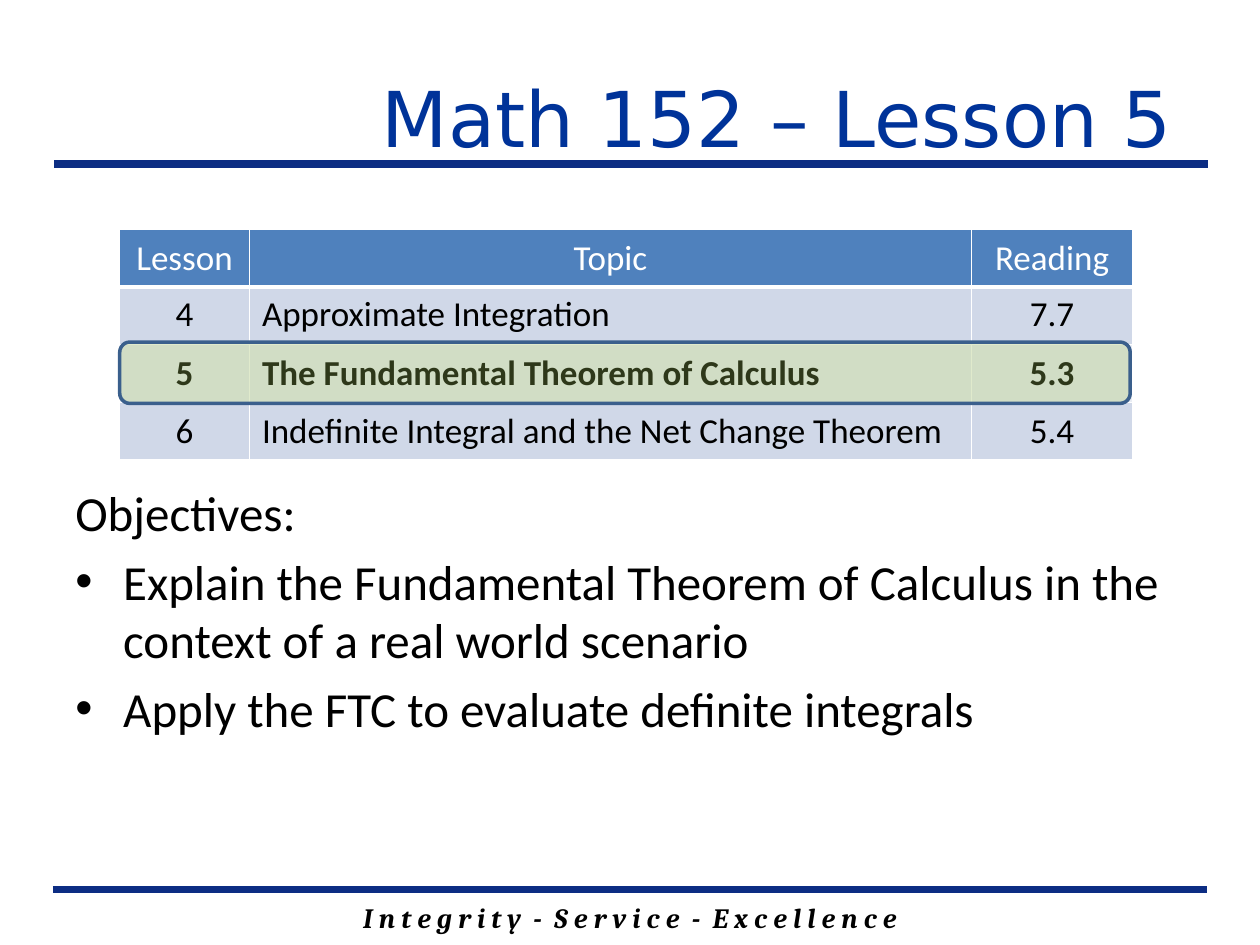
from dataclasses import dataclass

from lxml.etree import SubElement
from pptx import Presentation
from pptx.dml.color import RGBColor as Rgb
from pptx.enum.shapes import MSO_CONNECTOR as Connector, MSO_SHAPE as Shape
from pptx.enum.text import MSO_ANCHOR as Anchor, PP_ALIGN as Align
from pptx.oxml.ns import qn
from pptx.util import Inches, Pt


@dataclass(frozen=True)
class Theme:
    navy: str = "0C2D83"
    title_blue: str = "003399"
    header: str = "4F81BD"
    band: str = "D0D8E8"
    light_band: str = "E9EDF4"
    highlight: str = "9BBB59"
    outline: str = "3A5F8C"
    black: str = "000000"
    white: str = "FFFFFF"
    title_font: str = "DejaVu Sans"
    body_font: str = "Calibri"
    motto_font: str = "Cambria"
    title_size: int = 44
    body_size: int = 28
    table_size: int = 20
    motto_size: int = 16


THEME = Theme()
LESSONS = [
    ("Lesson", "Topic", "Reading"),
    ("4", "Approximate Integration", "7.7"),
    ("5", "The Fundamental Theorem of Calculus", "5.3"),
    ("6", "Indefinite Integral and the Net Change Theorem", "5.4"),
]
CURRENT_ROW = 2
OBJECTIVES = [
    "Explain the Fundamental Theorem of Calculus in the context of a real world scenario",
    "Apply the FTC to evaluate definite integrals",
]


def inches(box):
    return [Inches(length) for length in box]


def style(paragraph, family, size, color, bold=False, italic=False, align=Align.LEFT):
    paragraph.alignment = align
    font = paragraph.font
    font.name, font.size = family, Pt(size)
    font.bold, font.italic = bold, italic
    font.color.rgb = Rgb.from_string(color)


def add_text_frame(slide, box, anchor=Anchor.TOP):
    frame = slide.shapes.add_textbox(*inches(box)).text_frame
    frame.word_wrap = True
    frame.vertical_anchor = anchor
    return frame


def add_rule(slide, left, top, width):
    rule = slide.shapes.add_connector(
        Connector.STRAIGHT, *inches((left, top, left + width, top)))
    rule.line.color.rgb = Rgb.from_string(THEME.navy)
    rule.line.width = Pt(4.5)
    SubElement(rule._element.spPr, qn("a:effectLst"))


def add_footer(slide, box):
    left, top, width, height = box
    motto_width = 7.17
    motto_left = left + (width - motto_width) / 2
    motto = add_text_frame(slide, (motto_left, top + 0.04, motto_width, height - 0.04))
    line = motto.paragraphs[0]
    line.text = "I n t e g r i t y  -  S e r v i c e  -  E x c e l l e n c e"
    line.space_before = Pt(THEME.motto_size * 0.5)
    style(line, THEME.motto_font, THEME.motto_size, THEME.black, True, True, Align.CENTER)
    add_rule(slide, left, top, width)


def add_title(slide, box):
    left, top, width, height = box
    add_rule(slide, 0.43, top + height * 0.8, 9.16)
    heading = add_text_frame(slide, box, Anchor.MIDDLE).paragraphs[0]
    heading.text = "Math 152 – Lesson 5 "
    style(heading, THEME.title_font, THEME.title_size, THEME.title_blue, align=Align.RIGHT)


def add_objectives(slide, box):
    frame = add_text_frame(slide, box)
    for index, wording in enumerate(["Objectives:", *OBJECTIVES]):
        line = frame.paragraphs[0] if index == 0 else frame.add_paragraph()
        line.text = wording
        line.space_before = Pt(THEME.body_size * 0.2)
        style(line, THEME.body_font, THEME.body_size, THEME.black)
        if index:
            properties = line._p.get_or_add_pPr()
            properties.set("marL", str(Inches(0.38)))
            properties.set("indent", str(-Inches(0.38)))
            SubElement(properties, qn("a:buFont")).set("typeface", "Arial")
            SubElement(properties, qn("a:buChar")).set("char", "•")
            properties.append(properties.find(qn("a:defRPr")))


def add_borders(cell, row):
    thick_side = {0: "B", 1: "T"}.get(row)
    for side in "LRTB":
        border = SubElement(cell._tc.get_or_add_tcPr(), qn(f"a:ln{side}"))
        border.set("w", str(Pt(3 if side == thick_side else 1)))
        fill = SubElement(border, qn("a:solidFill"))
        SubElement(fill, qn("a:srgbClr")).set("val", THEME.white)


def add_lessons(slide, box):
    left, top, width, height = box
    table = slide.shapes.add_table(len(LESSONS), len(LESSONS[0]), *inches(box)).table
    row_height = height / len(LESSONS)
    for column, share in zip(table.columns, (1.03, 5.73, 1.28)):
        column.width = Inches(width * share / 8.04)
    fills = (THEME.header, THEME.band, THEME.light_band, THEME.band)
    for row, (lesson, fill) in enumerate(zip(LESSONS, fills)):
        table.rows[row].height = Inches(row_height)
        for column, wording in enumerate(lesson):
            cell = table.cell(row, column)
            cell.text = wording
            cell.vertical_anchor = Anchor.TOP if row == 1 else Anchor.MIDDLE
            add_borders(cell, row)
            cell.fill.solid()
            cell.fill.fore_color.rgb = Rgb.from_string(fill)
            is_topic = row > 0 and column == 1
            style(cell.text_frame.paragraphs[0], THEME.body_font, THEME.table_size,
                  THEME.black if row else THEME.white, bold=row == CURRENT_ROW,
                  align=Align.LEFT if is_topic else Align.CENTER)
    add_highlight(slide, (left, top + CURRENT_ROW * row_height - 0.02,
                          width - 0.02, row_height + 0.03))


def add_highlight(slide, box):
    marker = slide.shapes.add_shape(Shape.ROUNDED_RECTANGLE, *inches(box))
    marker.shadow.inherit = False
    marker.fill.solid()
    marker.fill.fore_color.rgb = Rgb.from_string(THEME.highlight)
    tint = marker._element.spPr.find(qn("a:solidFill")).find(qn("a:srgbClr"))
    SubElement(tint, qn("a:alpha")).set("val", "30000")
    marker.line.color.rgb = Rgb.from_string(THEME.outline)
    marker.line.width = Pt(2)


def main():
    deck = Presentation()
    deck.slide_width, deck.slide_height = Inches(10), Inches(7.5)
    slide = deck.slides.add_slide(deck.slide_layouts[6])
    add_footer(slide, (0.42, 7.06, 9.16, 0.41))
    add_title(slide, (1.8, 0.3, 7.8, 1.25))
    add_objectives(slide, (0.5, 3.78, 9, 2.92))
    add_lessons(slide, (0.95, 1.82, 8.04, 1.83))
    deck.save("out.pptx")


if __name__ == "__main__":
    main()
